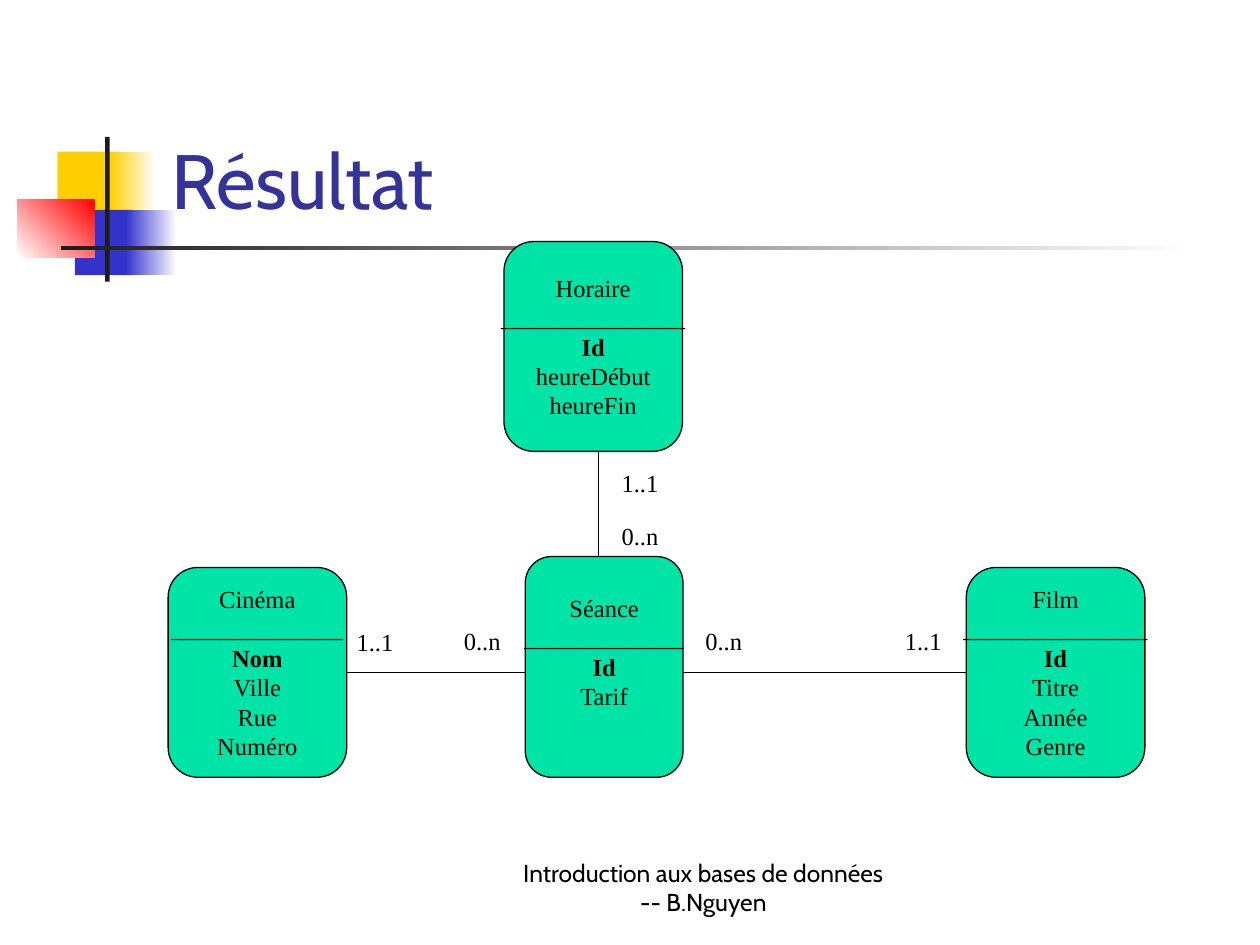
from lxml import etree
from pptx import Presentation
from pptx.dml.color import RGBColor
from pptx.enum.shapes import MSO_CONNECTOR, MSO_SHAPE
from pptx.enum.text import MSO_ANCHOR, MSO_AUTO_SIZE, PP_ALIGN
from pptx.oxml.ns import qn
from pptx.util import Cm, Pt

RECTANGLE = MSO_SHAPE.RECTANGLE
ENTITY = MSO_SHAPE.FLOWCHART_ALTERNATE_PROCESS
STRAIGHT = MSO_CONNECTOR.STRAIGHT
MIDDLE, BOTTOM, TOP = MSO_ANCHOR.MIDDLE, MSO_ANCHOR.BOTTOM, MSO_ANCHOR.TOP
FIXED, GROW = MSO_AUTO_SIZE.NONE, MSO_AUTO_SIZE.SHAPE_TO_FIT_TEXT
LEFT, CENTER = PP_ALIGN.LEFT, PP_ALIGN.CENTER
SANS, SERIF = "Cabin", "Times New Roman"
WHITE, BLACK, CHARCOAL = "FFFFFF", "000000", "1C1C1C"
YELLOW, BLUE, RED, GREEN = "FFCF01", "3333CC", "FF0000", "00E4A8"


def color(code):
    return RGBColor.from_string(code)


def place(values):
    return [Cm(value) for value in values]


def write(para, text, font=SERIF, size=14, ink=BLACK, bold=False, align=LEFT):
    para.alignment = align
    span = para.add_run()
    span.text = text
    span.font.name = font
    span.font.size = Pt(size)
    span.font.bold = bold
    span.font.color.rgb = color(ink)


def add_block(page, area, fill, end=None, angle=0):
    """Borderless rectangle; with an end colour, a gradient at a clockwise angle."""
    block = page.shapes.add_shape(RECTANGLE, *place(area))
    block.shadow.inherit = False
    block.line.fill.background()
    if end is None:
        block.fill.solid()
        block.fill.fore_color.rgb = color(fill)
    else:
        block.fill.gradient()
        block.fill.gradient_angle = 360 - angle
        for stop, code in zip(block.fill.gradient_stops, (fill, end)):
            stop.color.rgb = color(code)


def add_entity(page, area, name, key, attributes, rule_length, bottom_inset=0.13):
    box = page.shapes.add_shape(ENTITY, *place(area))
    box.shadow.inherit = False
    box.fill.solid()
    box.fill.fore_color.rgb = color(GREEN)
    box.line.color.rgb = color(BLACK)
    box.line.width = Pt(0.75)
    frame = box.text_frame
    frame.word_wrap = False
    frame.vertical_anchor = MIDDLE
    frame.margin_bottom = Cm(bottom_inset)
    for index, text in enumerate([name, "_" * rule_length, key, *attributes]):
        para = frame.add_paragraph() if index else frame.paragraphs[0]
        write(para, text, bold=index == 2, align=CENTER)
    return box


def add_line(page, start, end):
    line = page.shapes.add_connector(STRAIGHT, *place(start + end))
    line.line.color.rgb = color(BLACK)
    line.line.width = Pt(0.75)
    properties = line.element.find(qn("p:spPr"))
    etree.SubElement(properties, qn("a:effectLst"))
    return line


def add_text(page, area, text, anchor=TOP, wrap=False, fit=GROW, **style):
    box = page.shapes.add_textbox(*place(area))
    frame = box.text_frame
    frame.word_wrap = wrap
    frame.auto_size = fit
    frame.vertical_anchor = anchor
    write(frame.paragraphs[0], text, **style)


def add_title(page, text):
    title = page.shapes.title
    title.left, title.top, title.width, title.height = place((3.2, 0.6, 21.64, 4.06))
    frame = title.text_frame
    frame.auto_size = FIXED
    frame.vertical_anchor = BOTTOM
    write(frame.paragraphs[0], text, font=SANS, size=44, ink="333399")
    # Bring the title in front of the ornament
    title.element.getparent().append(title.element)


def add_ornament(page):
    add_block(page, (1.16, 3.06, 1.22, 1.32), YELLOW)
    add_block(page, (2.22, 3.06, 0.91, 1.32), WHITE, YELLOW, 180)
    add_block(page, (1.51, 4.23, 1.17, 1.32), BLUE)
    add_block(page, (2.54, 4.23, 1.02, 1.32), WHITE, BLUE, 180)
    add_block(page, (0.35, 4.02, 1.56, 1.18), RED, WHITE, 135)
    add_block(page, (2.12, 2.76, 0.09, 2.92), CHARCOAL)
    add_block(page, (1.23, 4.95, 22.86, 0.09), WHITE, CHARCOAL, 180)


def main():
    deck = Presentation()
    deck.slide_width, deck.slide_height = Cm(25.4), Cm(19.05)
    page = deck.slides.add_slide(deck.slide_layouts[5])

    add_ornament(page)
    add_title(page, "Résultat")

    # Outer entities
    cinema = add_entity(page, (3.39, 11.44, 3.6, 4.23), "Cinéma", "Nom",
                        ["Ville", "Rue", "Numéro"], 14)
    add_entity(page, (10.16, 4.87, 3.6, 4.23), "Horaire", "Id",
               ["heureDébut", "heureFin"], 15)
    film = add_entity(page, (19.48, 11.44, 3.6, 4.23), "Film", "Id",
                      ["Titre", "Année", "Genre"], 15)

    # Associations, running behind the central entity
    association = add_line(page, (6.99, 13.55), (19.48, 13.55))
    association.begin_connect(cinema, 3)
    association.end_connect(film, 1)
    add_line(page, (12.07, 9.1), (12.07, 13.55))

    # Central entity, its text raised by one line
    add_entity(page, (10.59, 11.22, 3.18, 4.45), "Séance", "Id", ["Tarif"], 13,
               bottom_inset=0.73)

    # Cardinalities
    for text, left, top in [
        ("1..1", 6.94, 12.52), ("1..1", 12.28, 9.31), ("1..1", 17.99, 12.49),
        ("0..n", 9.1, 12.49), ("0..n", 12.28, 10.37), ("0..n", 13.97, 12.49),
    ]:
        add_text(page, (left, top, 1.25, 0.86), text)

    # Footer
    add_text(page, (10.16, 17.33, 8.04, 1.27),
             "Introduction aux bases de données -- B.Nguyen",
             anchor=BOTTOM, wrap=True, fit=FIXED, font=SANS, align=CENTER)

    deck.save("out.pptx")


if __name__ == "__main__":
    main()
